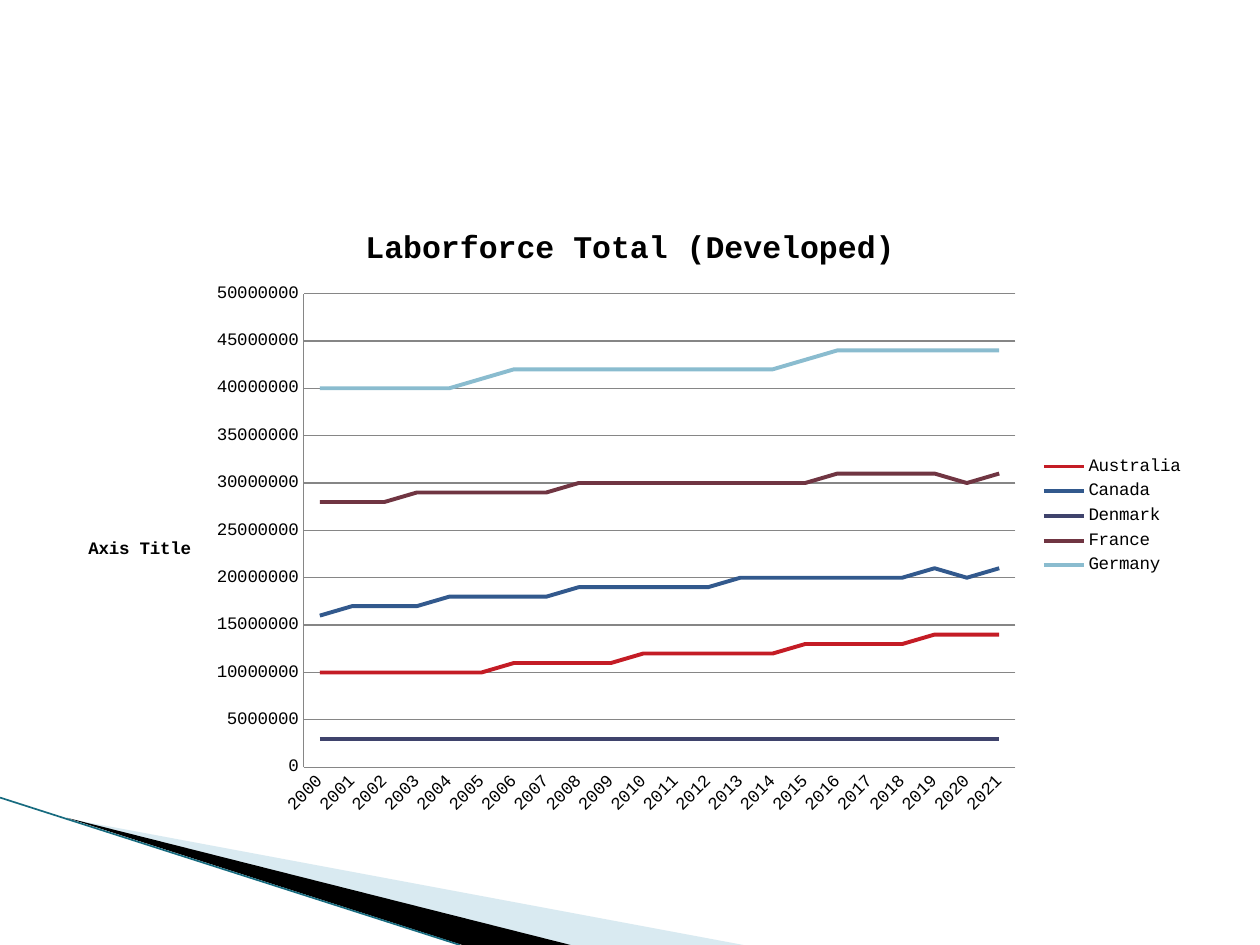
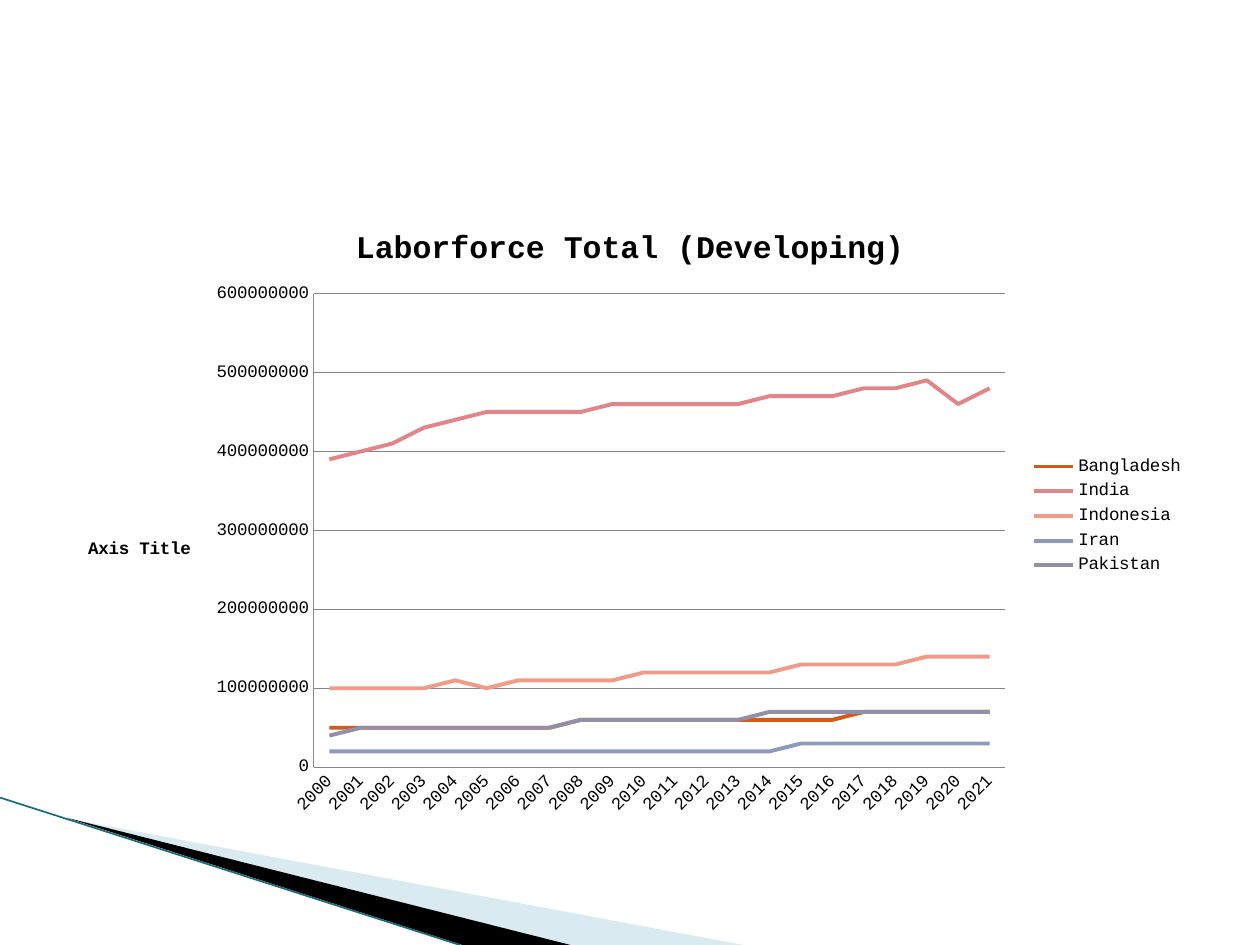
"""Build two line-chart slides on the total labour force of developed and developing countries."""
from dataclasses import dataclass

from lxml.etree import SubElement
from pptx import Presentation
from pptx.chart.data import CategoryChartData as ChartData
from pptx.dml.color import RGBColor as Color
from pptx.enum.chart import XL_CHART_TYPE as ChartType, XL_LEGEND_POSITION as LegendPosition
from pptx.enum.chart import XL_TICK_MARK as TickMark
from pptx.enum.shapes import MSO_CONNECTOR as Connector
from pptx.oxml.ns import qn
from pptx.util import Inches, Pt


@dataclass(frozen=True)
class Theme:
    font: str = "Courier New"
    title_size: float = 18
    label_size: float = 10
    text: str = "000000"
    grid: str = "868686"
    pale_wedge: str = "A0CBDC"
    dark_wedge: str = "000000"
    edge: str = "176B7F"
    edge_width: float = 0.95
    series_width: float = 2.25


theme = Theme()
million = 1_000_000
years = [str(year) for year in range(2000, 2022)]
chart_left, chart_top, chart_width, chart_height = 0.5, 1.62, 9, 4.95
plot_top, plot_bottom = 2.33, 6.09
wedges = [
    (theme.pale_wedge, 40, [(0.55, 6.5), (5.9, 7.5), (4.52, 7.5)]),
    (theme.dark_wedge, 100, [(0.53, 6.49), (4.53, 7.5), (3.67, 7.5)]),
]
slides = [
    ("Laborforce Total (Developed)", 1, 50, 5, 2.41, 8.06, [
        ("Australia", "C41C25", [10, 10, 10, 10, 10, 10, 11, 11, 11, 11, 12,
                                 12, 12, 12, 12, 13, 13, 13, 13, 14, 14, 14]),
        ("Canada", "32598D", [16, 17, 17, 17, 18, 18, 18, 18, 19, 19, 19,
                              19, 19, 20, 20, 20, 20, 20, 20, 21, 20, 21]),
        ("Denmark", "3F436C", [3] * len(years)),
        ("France", "703542", [28, 28, 28, 29, 29, 29, 29, 29, 30, 30, 30,
                              30, 30, 30, 30, 30, 31, 31, 31, 31, 30, 31]),
        ("Germany", "8ABCCF", [40, 40, 40, 40, 40, 41, 42, 42, 42, 42, 42,
                               42, 42, 42, 42, 43, 44, 44, 44, 44, 44, 44]),
    ]),
    ("Laborforce Total (Developing)", 10, 60, 10, 2.49, 7.98, [
        ("Bangladesh", "D35A18", [5] * 8 + [6] * 9 + [7] * 5),
        ("India", "E28587", [39, 40, 41, 43, 44, 45, 45, 45, 45, 46, 46,
                             46, 46, 46, 47, 47, 47, 48, 48, 49, 46, 48]),
        ("Indonesia", "F09B87", [10, 10, 10, 10, 11, 10, 11, 11, 11, 11, 12,
                                 12, 12, 12, 12, 13, 13, 13, 13, 14, 14, 14]),
        ("Iran", "8C9ABC", [2] * 15 + [3] * 7),
        ("Pakistan", "9190A8", [4] + [5] * 7 + [6] * 6 + [7] * 8),
    ]),
]


def style_font(font, size, bold=False):
    font.name = theme.font
    font.size = Pt(size)
    font.bold = bold
    font.color.rgb = Color.from_string(theme.text)


def style_line(line, color, width):
    line.color.rgb = Color.from_string(color)
    line.width = Pt(width)


deck = Presentation()
deck.slide_width, deck.slide_height = Inches(10), Inches(7.5)

for title, unit, top_value, step, plot_left, plot_right, countries in slides:
    page = deck.slides.add_slide(deck.slide_layouts[6])

    for color, opacity, corners in wedges:
        points = [(Inches(x), Inches(y)) for x, y in corners]
        builder = page.shapes.build_freeform(*points[0])
        builder.add_line_segments(points[1:], close=True)
        wedge = builder.convert_to_shape()
        wedge.shadow.inherit = False
        wedge.line.fill.background()
        wedge.fill.solid()
        wedge.fill.fore_color.rgb = Color.from_string(color)
        if opacity < 100:
            fill_color = wedge.fill._xPr.find(qn("a:solidFill"))[0]
            SubElement(fill_color, qn("a:alpha")).set("val", str(opacity * 1000))

    edge = page.shapes.add_connector(
        Connector.STRAIGHT, Inches(0), Inches(6.33), Inches(3.65), Inches(7.5))
    style_line(edge.line, theme.edge, theme.edge_width)
    SubElement(edge.element.spPr, qn("a:effectLst"))

    data = ChartData(number_format="0")
    data.categories = years
    for name, color, values in countries:
        data.add_series(name, [value * unit * million for value in values])
    chart = page.shapes.add_chart(
        ChartType.LINE, Inches(chart_left), Inches(chart_top),
        Inches(chart_width), Inches(chart_height), data).chart
    style_font(chart.font, theme.label_size)

    chart.has_title = True
    chart.chart_title.include_in_layout = False
    heading = chart.chart_title.text_frame
    heading.text = title
    style_font(heading.paragraphs[0].font, theme.title_size, bold=True)

    chart.has_legend = True
    chart.legend.position = LegendPosition.RIGHT
    chart.legend.include_in_layout = False

    for axis in (chart.category_axis, chart.value_axis):
        axis.major_tick_mark = axis.minor_tick_mark = TickMark.NONE
        style_line(axis.format.line, theme.grid, 0.75)
        style_font(axis.tick_labels.font, theme.label_size)
    chart.category_axis.tick_labels.font._element.getparent().getparent().getparent().find(
        qn("a:bodyPr")).set("rot", "-2700000")

    scale = chart.value_axis
    scale.minimum_scale, scale.maximum_scale = 0, top_value * unit * million
    scale.major_unit = step * unit * million
    scale.has_major_gridlines = True
    style_line(scale.major_gridlines.format.line, theme.grid, 0.75)
    scale.tick_labels.number_format = "0"
    scale.tick_labels.number_format_is_linked = False
    caption = scale.axis_title.text_frame
    caption.text = "Axis Title"
    style_font(caption.paragraphs[0].font, theme.label_size, bold=True)
    caption._txBody.find(qn("a:bodyPr")).set("rot", "0")

    plot_area = chart._chartSpace.chart.plotArea
    layout = plot_area.find(qn("c:layout"))
    if layout is None:
        layout = SubElement(plot_area, qn("c:layout"))
        plot_area.insert(0, layout)
    manual = SubElement(layout, qn("c:manualLayout"))
    for tag, setting in [
        ("layoutTarget", "inner"), ("xMode", "edge"), ("yMode", "edge"),
        ("x", (plot_left - chart_left) / chart_width),
        ("y", (plot_top - chart_top) / chart_height),
        ("w", (plot_right - plot_left) / chart_width),
        ("h", (plot_bottom - plot_top) / chart_height),
    ]:
        SubElement(manual, qn(f"c:{tag}")).set("val", str(setting))

    for series, (name, color, values) in zip(chart.plots[0].series, countries):
        series.smooth = False
        style_line(series.format.line, color, theme.series_width)

deck.save("out.pptx")
